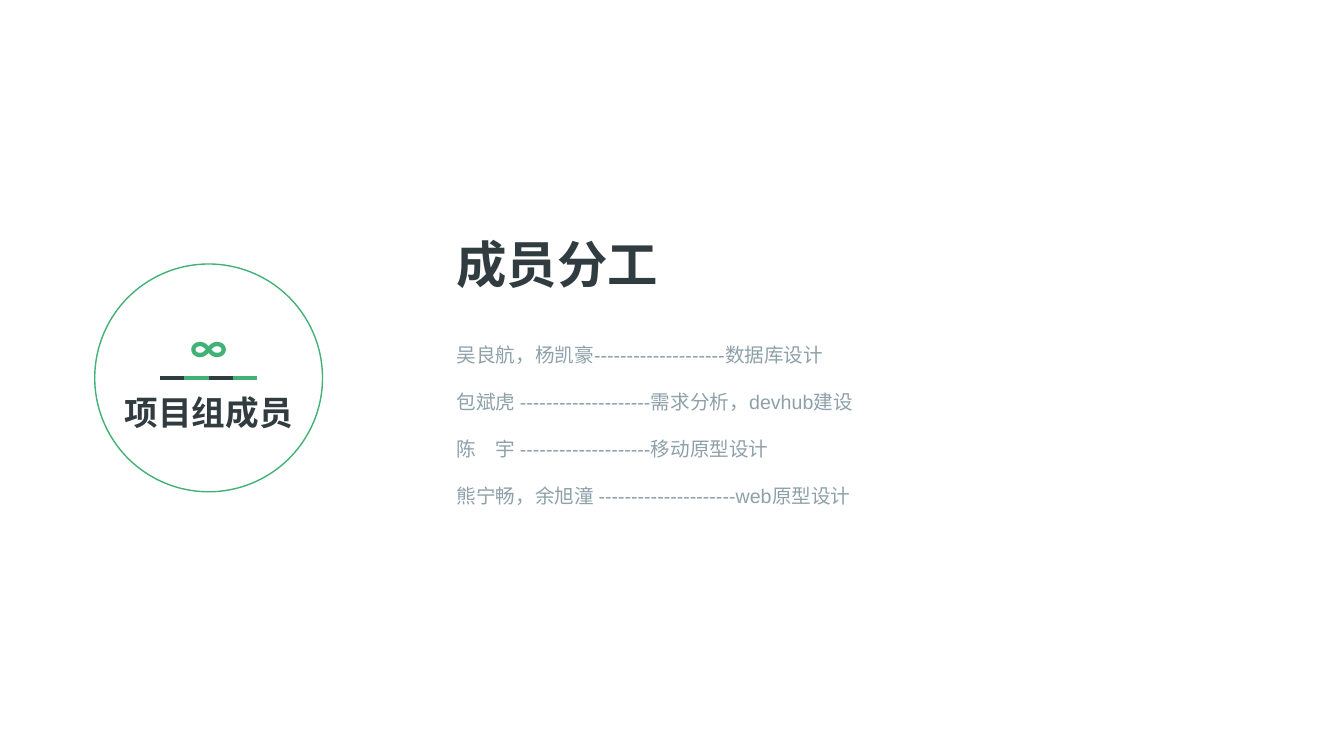
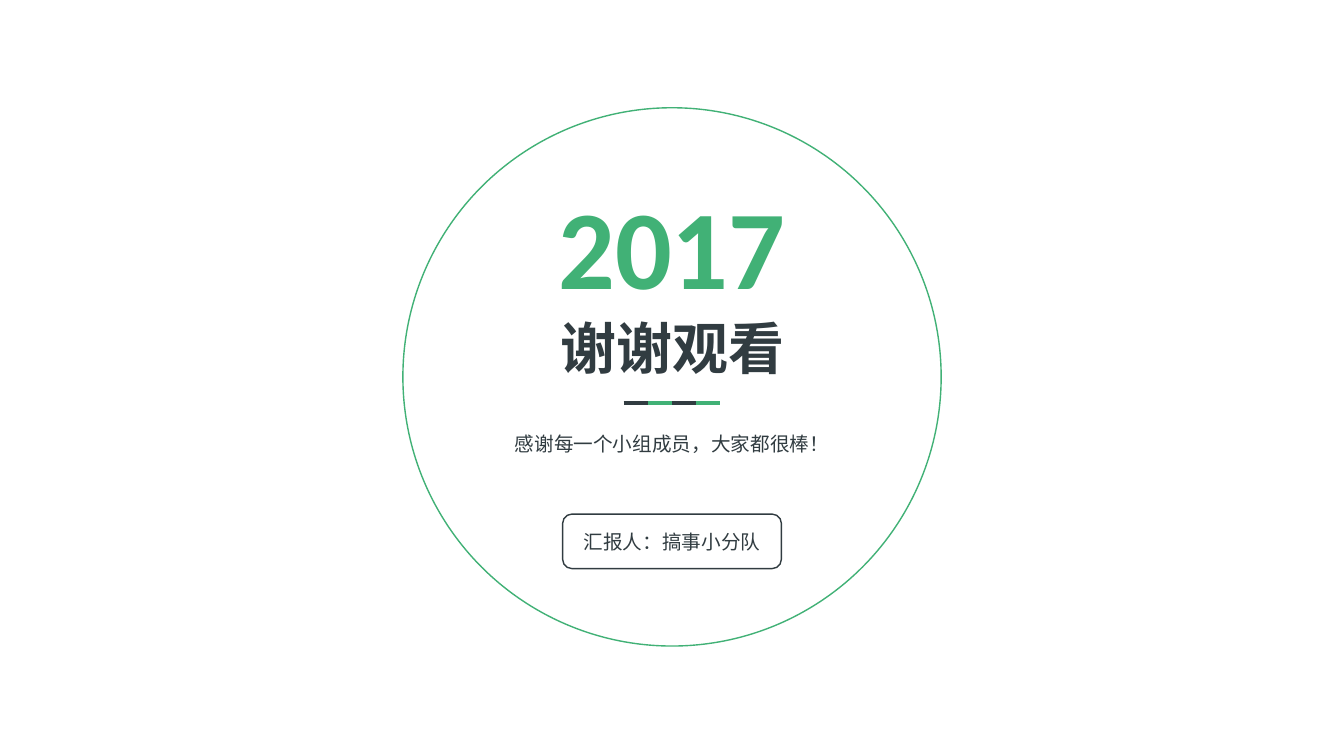
from collections import namedtuple
from dataclasses import dataclass

from lxml.etree import SubElement
from pptx import Presentation
from pptx.dml.color import RGBColor
from pptx.enum.shapes import MSO_CONNECTOR, MSO_SHAPE
from pptx.enum.text import MSO_ANCHOR, MSO_AUTO_SIZE, PP_ALIGN
from pptx.oxml.ns import qn
from pptx.util import Pt

Box = namedtuple("Box", "left top width height")
TextStyle = namedtuple("TextStyle", "size color font bold")


@dataclass(frozen=True)
class Theme:
    """Colours, line widths and text styles shared by the slides."""
    dark = RGBColor(0x31, 0x3C, 0x41)
    green = RGBColor(0x41, 0xB1, 0x76)
    grey = RGBColor(0x8E, 0xA1, 0xAA)
    outline = 1
    rule = 3
    rule_segment = 17.3
    year = TextStyle(80, green, "Calibri", True)
    closing = TextStyle(40, dark, "Calibri", True)
    heading = TextStyle(36, dark, "Calibri", True)
    symbol = TextStyle(32, green, "Calibri", True)
    badge = TextStyle(24, dark, "Calibri", True)
    note = TextStyle(14, dark, "Calibri", False)
    duty = TextStyle(14, grey, "Arial", False)


THEME = Theme()


def in_points(box):
    """Turn a box of plain numbers into lengths."""
    return [Pt(value) for value in box]


def centred(box, offset, width, height):
    """Return a box on the vertical axis, its top offset from the centre."""
    return Box(box.left + (box.width - width) / 2,
               box.top + box.height / 2 + offset, width, height)


def fill_text(frame, lines, style, align, gap=0):
    """Write one paragraph per line in a single style."""
    for index, line in enumerate(lines):
        paragraph = frame.add_paragraph() if index else frame.paragraphs[0]
        paragraph.text = line
        paragraph.alignment = align
        paragraph.space_before = Pt(gap if index else 0)
        font = paragraph.font
        font.size, font.bold, font.name = Pt(style.size), style.bold, style.font
        font.color.rgb = style.color


def add_text(slide, box, lines, style, align=PP_ALIGN.CENTER, wrap=True, gap=0):
    """Place a text box that grows with its text."""
    frame = slide.shapes.add_textbox(*in_points(box)).text_frame
    frame.word_wrap = wrap
    frame.auto_size = MSO_AUTO_SIZE.SHAPE_TO_FIT_TEXT
    fill_text(frame, lines, style, align, gap)


def add_outline(slide, preset, box, color):
    """Place an unfilled preset shape with a thin outline."""
    shape = slide.shapes.add_shape(preset, *in_points(box))
    shape.shadow.inherit = False
    shape.fill.background()
    shape.line.color.rgb = color
    shape.line.width = Pt(THEME.outline)
    return shape


def add_rule(slide, box, offset=0):
    """Draw the four-part rule in alternating colours across the axis."""
    segments = slide.shapes.add_group_shape().shapes
    colors = [THEME.dark, THEME.green] * 2
    step = THEME.rule_segment
    start = box.left + (box.width - step * len(colors)) / 2
    y = Pt(box.top + box.height / 2 + offset)
    for index, color in enumerate(colors):
        left = start + index * step
        segment = segments.add_connector(
            MSO_CONNECTOR.STRAIGHT, Pt(left), y, Pt(left + step), y)
        segment.line.color.rgb = color
        segment.line.width = Pt(THEME.rule)
        SubElement(segment._element.spPr, qn("a:effectLst"))


def add_badge(slide, box, symbol, label):
    """Draw the section badge: symbol, rule and label in a ring."""
    add_text(slide, centred(box, -46.8, 41.8, 46), [symbol], THEME.symbol, wrap=False)
    add_text(slide, centred(box, 6.5, 218, 36), [label], THEME.badge)
    add_rule(slide, box)
    add_outline(slide, MSO_SHAPE.OVAL, box, THEME.green)


def add_duties(slide, box, heading, duties):
    """Place the heading with the list of members and their duties below."""
    add_text(slide, Box(box.left, box.top, 160, 51), [heading], THEME.heading,
             PP_ALIGN.LEFT, wrap=False)
    add_text(slide, Box(box.left, box.top + 78.5, box.width, box.height - 78.5),
             duties, THEME.duty, PP_ALIGN.LEFT, gap=16.8)


def add_closing(slide, box, year, title, thanks, presenter):
    """Fill the closing ring with year, title, rule, thanks and presenter."""
    add_text(slide, centred(box, -146.2, 178, 104.4), [year], THEME.year, wrap=False)
    add_text(slide, centred(box, 36, 358.6, 24.5), [thanks], THEME.note)
    add_text(slide, centred(box, -49, 176.4, 55.4), [title], THEME.closing, wrap=False)
    button = add_outline(slide, MSO_SHAPE.ROUNDED_RECTANGLE,
                         centred(box, 98, 156.2, 38.9), THEME.dark)
    button.text_frame.vertical_anchor = MSO_ANCHOR.MIDDLE
    fill_text(button.text_frame, [presenter], THEME.note, PP_ALIGN.CENTER)
    add_rule(slide, box, 18.7)
    add_outline(slide, MSO_SHAPE.OVAL, box, THEME.green)


def main():
    """Build both slides and save the presentation."""
    deck = Presentation()
    deck.slide_width, deck.slide_height = Pt(960), Pt(540)
    blank = deck.slide_layouts[6]

    members = deck.slides.add_slide(blank)
    add_duties(members, Box(319, 163, 471.6, 205), "成员分工", [
        "吴良航，杨凯豪--------------------数据库设计",
        "包斌虎 --------------------需求分析，devhub建设",
        "陈\u3000宇 --------------------移动原型设计",
        "熊宁畅，余旭潼 ---------------------web原型设计",
    ])
    add_badge(members, Box(67.7, 188.6, 162.7, 162.7), "∞", "项目组成员")

    closing = deck.slides.add_slide(blank)
    add_closing(closing, Box(287.8, 77, 384.5, 384.5), "2017", "谢谢观看",
                "感谢每一个小组成员，大家都很棒！", "汇报人：搞事小分队")

    deck.save("out.pptx")


main()
